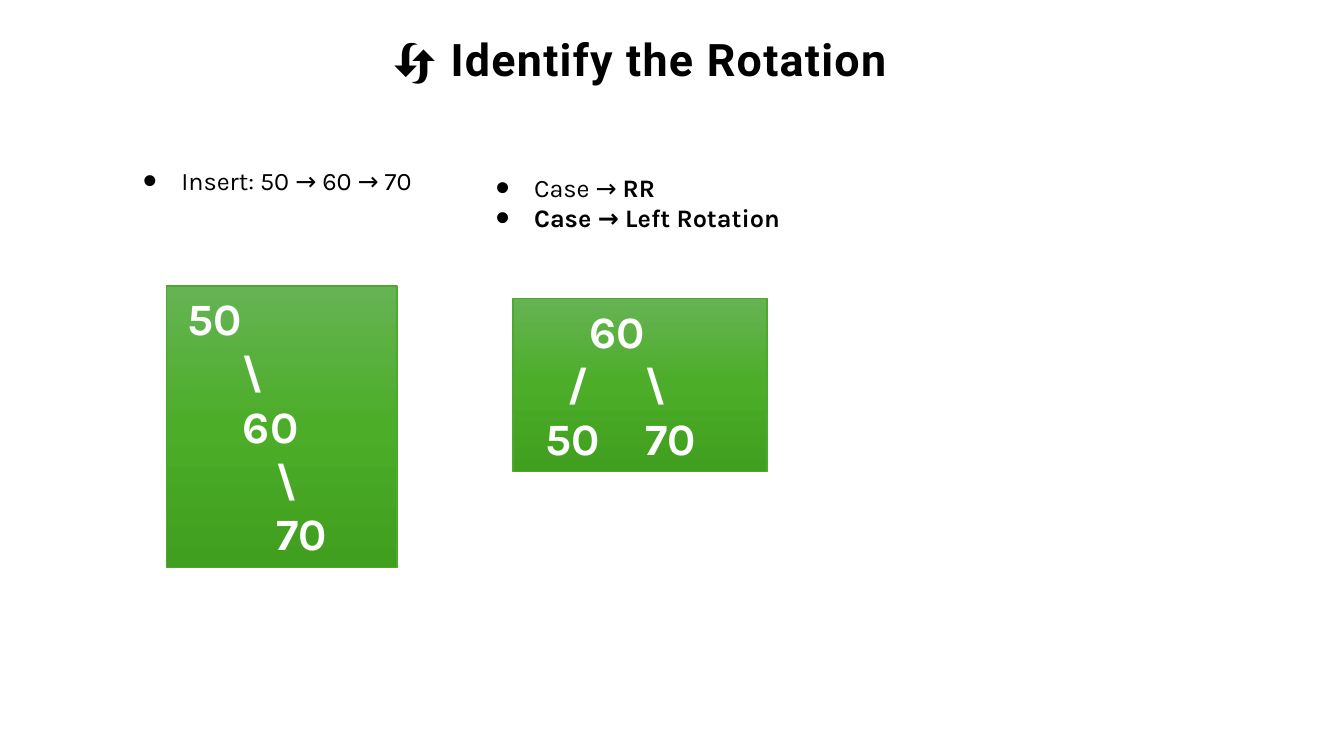
from copy import deepcopy
from dataclasses import dataclass

from lxml.etree import SubElement
from pptx import Presentation
from pptx.dml.color import RGBColor
from pptx.enum.shapes import MSO_SHAPE
from pptx.enum.text import MSO_ANCHOR, PP_ALIGN
from pptx.oxml.ns import qn
from pptx.slide import Slide
from pptx.text.text import Font, TextFrame, _Paragraph as Paragraph
from pptx.util import Cm, Pt

BLACK = "000000"
WHITE = "FFFFFF"
GREEN_LINE = "4EA72E"
GREEN_STOPS = ((0, "66B354"), (0.5, "4BAD28"), (1, "409F1E"))
BULLET_INDENT = Cm(0.97)
TREE_COLUMN = 0.28


@dataclass(frozen=True)
class Box:
    left: float
    top: float
    width: float
    height: float

    def lengths(self) -> tuple[Cm, Cm, Cm, Cm]:
        return Cm(self.left), Cm(self.top), Cm(self.width), Cm(self.height)


@dataclass(frozen=True)
class Phrase:
    text: str
    bold: bool = False


@dataclass(frozen=True)
class BulletList:
    box: Box
    items: tuple[tuple[Phrase, ...], ...]


@dataclass(frozen=True)
class TreeRow:
    labels: tuple[str, ...]
    columns: tuple[int, ...]


@dataclass(frozen=True)
class Tree:
    box: Box
    rows: tuple[TreeRow, ...]


TITLE_BOX = Box(1.8, 0.43, 28.65, 2.34)

BULLET_LISTS = (
    BulletList(Box(3.35, 4.04, 7.92, 1.8), ((Phrase("Insert: 50 → 60 → 70"),),)),
    BulletList(
        Box(12.24, 4.22, 7.92, 1.8),
        (
            (Phrase("Case → "), Phrase("RR", True)),
            (Phrase("Case → Left Rotation", True),),
        ),
    ),
)

TREES = (
    Tree(
        Box(4.19, 7.21, 5.82, 7.09),
        (
            TreeRow(("50",), (1,)),
            TreeRow(("\\",), (6,)),
            TreeRow(("60",), (6,)),
            TreeRow(("\\",), (9,)),
            TreeRow(("70",), (9,)),
        ),
    ),
    Tree(
        Box(12.93, 7.52, 6.4, 4.37),
        (
            TreeRow(("60",), (6,)),
            TreeRow(("/", "\\"), (4, 11)),
            TreeRow(("50", "70"), (2, 11)),
        ),
    ),
)


def color(hex_code: str) -> RGBColor:
    return RGBColor.from_string(hex_code)


def style(font: Font, name: str, size: int, hex_code: str, bold: bool) -> None:
    font.name = name
    font.size = Pt(size)
    font.bold = bold
    font.color.rgb = color(hex_code)


def next_paragraph(frame: TextFrame, index: int) -> Paragraph:
    return frame.add_paragraph() if index else frame.paragraphs[0]


def add_title(slide: Slide) -> None:
    frame = slide.shapes.add_textbox(*TITLE_BOX.lengths()).text_frame
    frame.word_wrap = True
    frame.vertical_anchor = MSO_ANCHOR.MIDDLE
    frame.margin_left = frame.margin_right = 0
    frame.margin_top = frame.margin_bottom = 0
    frame.text = "🔄 Identify the Rotation"
    paragraph = frame.paragraphs[0]
    paragraph.alignment = PP_ALIGN.CENTER
    paragraph.line_spacing = 0.8
    run = paragraph.runs[0]
    style(run.font, "Roboto", 32, BLACK, True)
    run._r.get_or_add_rPr().set("spc", "90")


def add_bullet(paragraph: Paragraph) -> None:
    properties = paragraph._p.get_or_add_pPr()
    properties.set("marL", str(BULLET_INDENT))
    properties.set("indent", str(-BULLET_INDENT))
    SubElement(properties, qn("a:buSzPct"), val="160000")
    SubElement(properties, qn("a:buFont"), typeface="Arial")
    SubElement(properties, qn("a:buChar"), char="•")


def add_bullet_list(slide: Slide, bullet_list: BulletList) -> None:
    frame = slide.shapes.add_textbox(*bullet_list.box.lengths()).text_frame
    frame.word_wrap = True
    for index, phrases in enumerate(bullet_list.items):
        paragraph = next_paragraph(frame, index)
        add_bullet(paragraph)
        for phrase in phrases:
            run = paragraph.add_run()
            run.text = phrase.text
            style(run.font, "Karla", 18, BLACK, phrase.bold)


def add_tab_stops(paragraph: Paragraph, columns: tuple[int, ...]) -> None:
    tab_list = SubElement(paragraph._p.get_or_add_pPr(), qn("a:tabLst"))
    for column in columns:
        SubElement(tab_list, qn("a:tab"), pos=str(Cm(column * TREE_COLUMN)), algn="l")


def add_tree(slide: Slide, tree: Tree) -> None:
    shape = slide.shapes.add_shape(MSO_SHAPE.RECTANGLE, *tree.box.lengths())
    shape.shadow.inherit = False
    shape.line.color.rgb = color(GREEN_LINE)
    shape.line.width = Pt(1)
    shape.fill.gradient()
    shape.fill.gradient_angle = 270
    stop_list = shape._element.spPr.find(qn("a:gradFill")).find(qn("a:gsLst"))
    stop_list.append(deepcopy(stop_list[0]))
    for stop, (position, hex_code) in zip(shape.fill.gradient_stops, GREEN_STOPS):
        stop.position = position
        stop.color.rgb = color(hex_code)

    frame = shape.text_frame
    frame.word_wrap = True
    frame.vertical_anchor = MSO_ANCHOR.TOP
    for index, row in enumerate(tree.rows):
        paragraph = next_paragraph(frame, index)
        paragraph.alignment = PP_ALIGN.LEFT
        add_tab_stops(paragraph, row.columns)
        paragraph.text = "".join(f"\t{label}" for label in row.labels)
        style(paragraph.runs[0].font, "Karla", 32, WHITE, True)


def main() -> None:
    presentation = Presentation()
    presentation.slide_width = Cm(33.87)
    presentation.slide_height = Cm(19.05)
    slide = presentation.slides.add_slide(presentation.slide_layouts[6])
    add_title(slide)
    for bullet_list in BULLET_LISTS:
        add_bullet_list(slide, bullet_list)
    for tree in TREES:
        add_tree(slide, tree)
    presentation.save("out.pptx")


if __name__ == "__main__":
    main()
